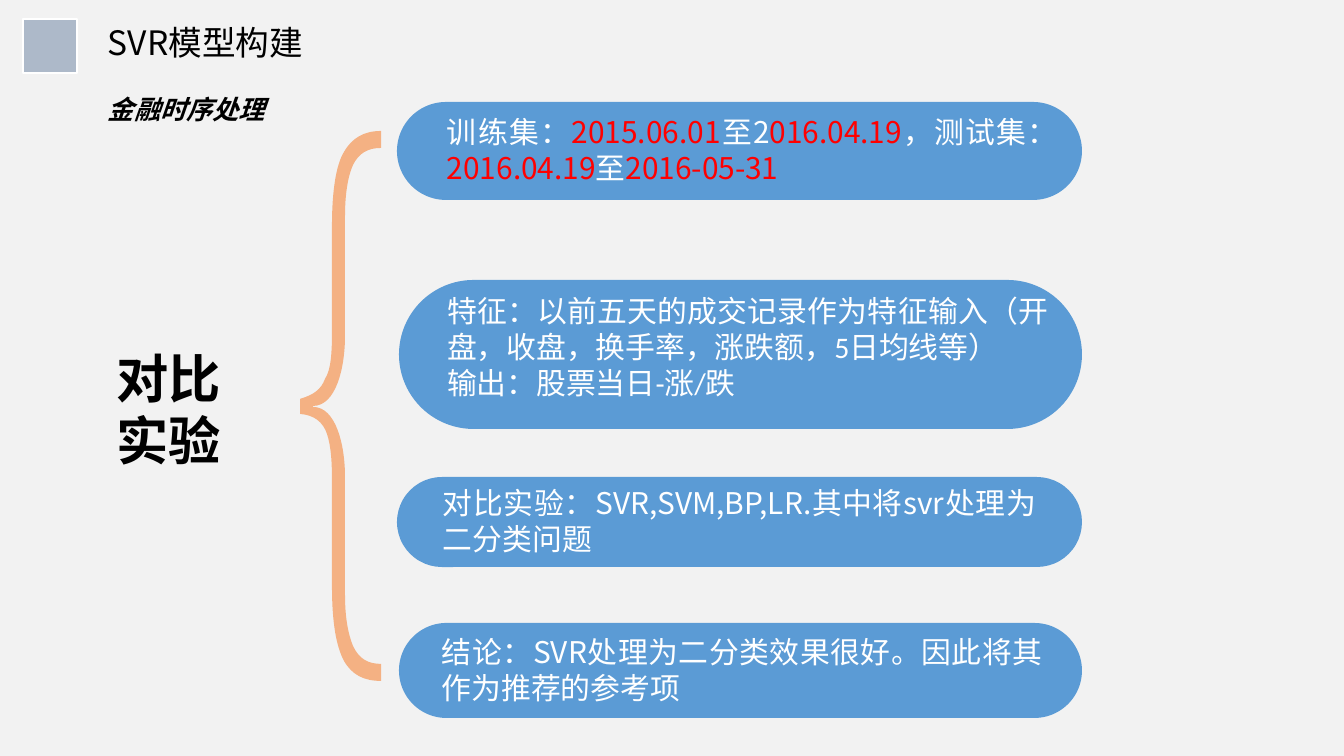
"""Build the SVR model slide: a brace linking one heading to four rounded notes."""
from typing import NamedTuple

from lxml import etree
from pptx import Presentation
from pptx.dml.color import RGBColor
from pptx.enum.shapes import MSO_SHAPE
from pptx.enum.text import MSO_ANCHOR, MSO_AUTO_SIZE, PP_ALIGN
from pptx.oxml.ns import qn
from pptx.util import Pt

RECTANGLE, PILL = MSO_SHAPE.RECTANGLE, MSO_SHAPE.ROUNDED_RECTANGLE
LEFT, CENTER, JUSTIFY = PP_ALIGN.LEFT, PP_ALIGN.CENTER, PP_ALIGN.JUSTIFY
TOP, GROW = MSO_ANCHOR.TOP, MSO_AUTO_SIZE.SHAPE_TO_FIT_TEXT
EMU_PER_PX = 914400 / 134.4
COLORS = {"page": "F2F2F2", "black": "000000", "white": "FFFFFF", "red": "FF0000",
          "pill": "5B9BD5", "brace": "F4B183", "square": "8497B0"}
LATIN, HAN = "Calibri", "Noto Sans CJK SC"


class Frame(NamedTuple):
    left: int
    top: int
    width: int
    height: int


class Span(NamedTuple):
    text: str
    face: str = LATIN
    color: str = "white"


class Style(NamedTuple):
    size: int
    face: str = LATIN
    color: str = "white"
    bold: bool = False
    italic: bool = False
    align: PP_ALIGN = LEFT
    margins: tuple[int, int] = (0, 0)


class Note(NamedTuple):
    pill: Frame
    text: Frame
    paragraphs: list[list[Span]]


TITLE_STYLE = Style(18, HAN, "black", margins=(13, 7))
SUBTITLE_STYLE = Style(14, LATIN, "black", True, True, margins=(13, 7))
HEADING_STYLE = Style(28, LATIN, "black", True, align=CENTER)
NOTE_STYLE = Style(16, align=JUSTIFY)

NOTES = [
    Note(Frame(397, 102, 685, 98), Frame(447, 114, 581, 71), [[
        Span("训练集："), Span("2015.06.01", HAN, "red"), Span("至"), Span("2", HAN),
        Span("016.04.19", HAN, "red"), Span("，测试集：", HAN),
        Span("2016.04.19", HAN, "red"), Span("至", HAN), Span("2016-05-31", HAN, "red")]]),
    Note(Frame(399, 280, 683, 149), Frame(447, 293, 602, 144), [
        [Span("特征：以前五天的成交记录作为特征输入（开盘，收盘，换手率，涨跌额，5日均线等）")],
        [Span("输出：股票当日-涨/跌")]]),
    Note(Frame(397, 477, 685, 90), Frame(443, 485, 593, 71), [[
        Span("对比实验："), Span("SVR,SVM,BP,LR.", HAN), Span("其中将"),
        Span("svr", HAN), Span("处理为二分类问题")]]),
    Note(Frame(399, 623, 683, 95), Frame(442, 634, 601, 71), [[
        Span("结论："), Span("SVR", HAN),
        Span("处理为二分类效果很好。因此将其作为推荐的参考项")]]),
]

BRACE_START = (345, 477)
BRACE_SEGMENTS = [
    [(345, 595)],
    [(345, 617), (348, 634), (353, 646)], [(359, 659), (368, 664), (381, 664)],
    [(381, 681)],
    [(364, 681), (352, 675), (344, 661)], [(336, 646), (332, 622), (332, 586)],
    [(332, 481)],
    [(332, 462), (331, 446), (327, 434)], [(323, 422), (314, 415), (300, 414)],
    [(300, 399)],
    [(313, 395), (321, 390), (325, 379)], [(331, 370), (332, 353), (332, 331)],
    [(332, 226)],
    [(332, 191), (336, 165), (344, 152)], [(352, 138), (364, 131), (381, 131)],
    [(381, 148)],
    [(368, 148), (359, 153), (353, 165)], [(348, 176), (345, 194), (345, 216)],
    [(345, 336)],
    [(345, 368), (336, 406), (313, 406)],
    [(313, 407)],
    [(336, 407), (345, 445), (345, 477)],
]


def px(length: int) -> int:
    return round(length * EMU_PER_PX)


def rgb(name: str) -> RGBColor:
    return RGBColor.from_string(COLORS[name])


def place(frame: Frame) -> list[int]:
    return [px(length) for length in frame]


def paint(shape, color: str) -> None:
    shape.shadow.inherit = False
    shape.fill.solid()
    shape.fill.fore_color.rgb = rgb(color)
    shape.line.fill.background()


def write(box, paragraphs: list[list[Span]], style: Style) -> None:
    text_frame = box.text_frame
    text_frame.word_wrap = True
    text_frame.auto_size = GROW
    text_frame.vertical_anchor = TOP
    text_frame.margin_left = text_frame.margin_right = px(style.margins[0])
    text_frame.margin_top = text_frame.margin_bottom = px(style.margins[1])
    for index, spans in enumerate(paragraphs):
        para = text_frame.add_paragraph() if index else text_frame.paragraphs[0]
        para.alignment = style.align
        font = para.font
        font.size, font.bold, font.italic = Pt(style.size), style.bold, style.italic
        font.color.rgb = rgb(style.color)
        font.name = style.face
        etree.SubElement(para._p.pPr.find(qn("a:defRPr")), qn("a:ea"), typeface=HAN)
        for span in spans:
            run = para.add_run()
            run.text = span.text
            if span.face != style.face:
                run.font.name = span.face
            if span.color != style.color:
                run.font.color.rgb = rgb(span.color)


def add_text(page, frame: Frame, paragraphs: list[list[Span]], style: Style) -> None:
    write(page.shapes.add_textbox(*place(frame)), paragraphs, style)


def add_square(page, frame: Frame) -> None:
    square = page.shapes.add_shape(RECTANGLE, *place(frame))
    paint(square, "square")
    color = square.fill._xPr.find(qn("a:solidFill"))[0]
    etree.SubElement(color, qn("a:alpha"), val="62000")
    square.line.color.rgb = rgb("white")
    square.line.width = Pt(1)


def add_pill(page, frame: Frame) -> None:
    pill = page.shapes.add_shape(PILL, *place(frame))
    pill.adjustments[0] = 0.5
    paint(pill, "pill")


def add_brace(page) -> None:
    builder = page.shapes.build_freeform(*map(px, BRACE_START))
    builder.add_line_segments([tuple(map(px, segment[-1])) for segment in BRACE_SEGMENTS])
    brace = builder.convert_to_shape()
    paint(brace, "brace")
    lines = list(brace._element.iter(qn("a:lnTo")))
    for line, segment in zip(lines, BRACE_SEGMENTS):
        if len(segment) == 3:
            curve = etree.Element(qn("a:cubicBezTo"))
            for x, y in segment:
                etree.SubElement(curve, qn("a:pt"), x=str(px(x) - brace.left),
                                 y=str(px(y) - brace.top))
            line.getparent().replace(line, curve)


def main() -> None:
    deck = Presentation()
    deck.slide_width, deck.slide_height = px(1344), px(756)
    page = deck.slides.add_slide(deck.slide_layouts[5])
    page.background.fill.solid()
    page.background.fill.fore_color.rgb = rgb("page")

    title = page.shapes.title
    title.left, title.top, title.width, title.height = place(Frame(95, 15, 352, 54))
    write(title, [[Span("SVR模型构建", HAN, "black")]], TITLE_STYLE)
    add_square(page, Frame(23, 19, 54, 54))
    add_text(page, Frame(95, 86, 222, 46), [[Span("金融时序处理", color="black")]], SUBTITLE_STYLE)
    add_text(page, Frame(102, 346, 133, 125), [[Span("对比实验", color="black")]], HEADING_STYLE)
    add_brace(page)
    for note in NOTES:
        add_pill(page, note.pill)
        add_text(page, note.text, note.paragraphs, NOTE_STYLE)
    deck.save("out.pptx")


if __name__ == "__main__":
    main()
